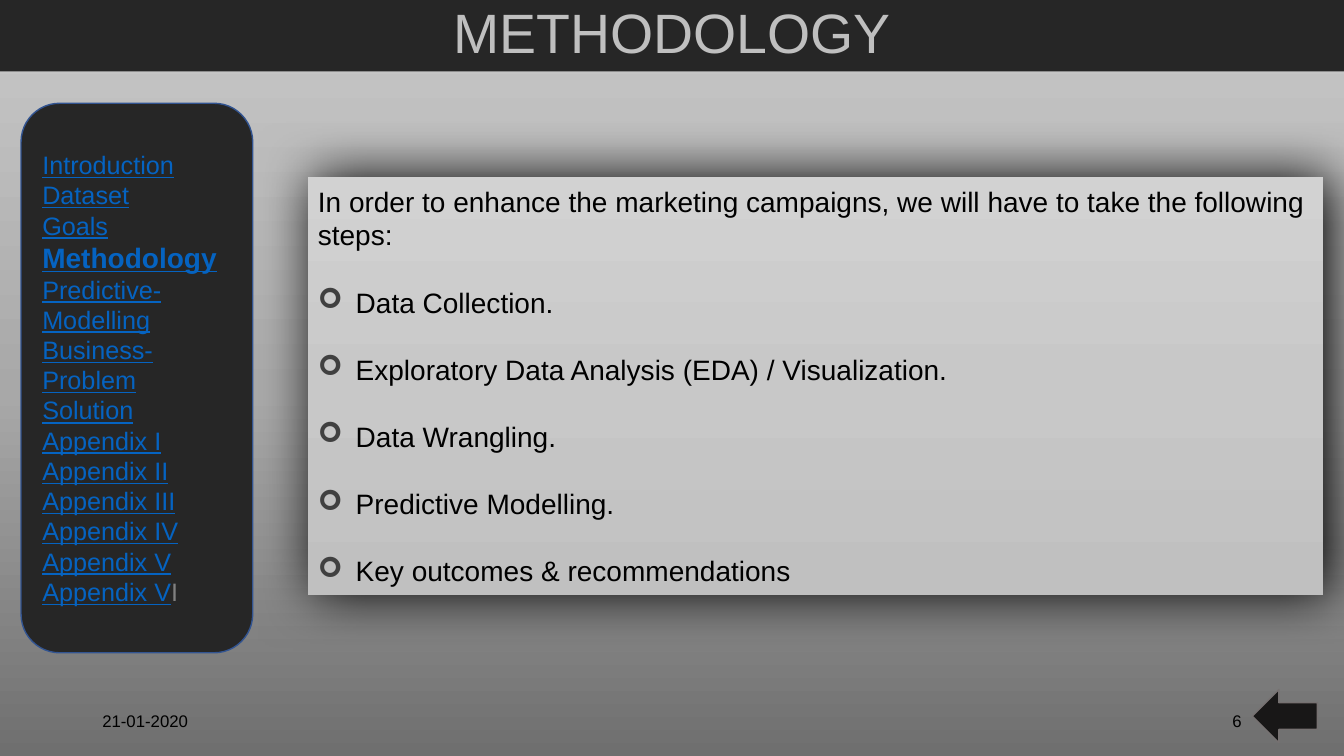
from lxml.etree import SubElement
from pptx import Presentation
from pptx.dml.color import RGBColor
from pptx.enum.shapes import MSO_SHAPE
from pptx.enum.text import MSO_ANCHOR, PP_ALIGN
from pptx.oxml.ns import qn
from pptx.util import Pt

BLACK = RGBColor(0x00, 0x00, 0x00)
CHARCOAL = RGBColor(0x26, 0x26, 0x26)
ARROW_FILL = RGBColor(0x18, 0x17, 0x17)
ARROW_LINE = RGBColor(0x76, 0x71, 0x71)
MENU_LINE = RGBColor(0x32, 0x54, 0x91)
LINK_BLUE = RGBColor(0x05, 0x63, 0xC1)
GREY = RGBColor(0x80, 0x80, 0x80)
TITLE_GREY = RGBColor(0xBF, 0xBF, 0xBF)
BULLET_GREY = RGBColor(0x40, 0x40, 0x40)
PAGE_STOPS = [(0, RGBColor(0x6F, 0x6F, 0x6F)), (48, RGBColor(0xA8, 0xA8, 0xA8)),
              (100, RGBColor(0xC9, 0xC9, 0xC9))]
PANEL_STOPS = [(0, RGBColor(0xD2, 0xD2, 0xD2)), (50, RGBColor(0xC8, 0xC8, 0xC8)),
               (100, RGBColor(0xC0, 0xC0, 0xC0))]


def fill_gradient(fill, holder, stops, angle):
    fill.gradient()
    fill.gradient_angle = angle
    stop_list = next(holder.iter(qn("a:gsLst")))
    for stop in list(stop_list):
        stop_list.remove(stop)
    for percent, color in stops:
        stop = SubElement(stop_list, qn("a:gs"), pos=str(percent * 1000))
        SubElement(stop, qn("a:srgbClr"), val=str(color))


def add_span(para, text, size, color, bold=False, underline=False):
    span = para.add_run()
    span.text = text
    span.font.name = "Arial"
    span.font.size = Pt(size)
    span.font.color.rgb = color
    span.font.bold = bold
    span.font.underline = underline


deck = Presentation()
deck.slide_width, deck.slide_height = Pt(960), Pt(540)
page = deck.slides.add_slide(deck.slide_layouts[6])
fill_gradient(page.background.fill, page.background._cSld, PAGE_STOPS, 90)

# Title bar
title = page.shapes.add_shape(MSO_SHAPE.RECTANGLE, 0, 0, Pt(960), Pt(51))
title.shadow.inherit = False
title.fill.solid()
title.fill.fore_color.rgb = CHARCOAL
title.line.fill.background()
title.text_frame.vertical_anchor = MSO_ANCHOR.MIDDLE
para = title.text_frame.paragraphs[0]
para.alignment = PP_ALIGN.CENTER
para.line_spacing = 0.9
add_span(para, "METHODOLOGY", 39.6, TITLE_GREY)

# Date and page number
for text, left, alignment in [("21-01-2020", 66, PP_ALIGN.LEFT), ("6", 678, PP_ALIGN.RIGHT)]:
    box = page.shapes.add_textbox(Pt(left), Pt(500.5), Pt(216), Pt(28.75))
    box.text_frame.word_wrap = True
    box.text_frame.vertical_anchor = MSO_ANCHOR.MIDDLE
    para = box.text_frame.paragraphs[0]
    para.alignment = alignment
    add_span(para, text, 12, BLACK)

# Steps panel with a soft dark glow
panel = page.shapes.add_shape(MSO_SHAPE.RECTANGLE, Pt(220), Pt(126.5), Pt(725), Pt(298.25))
panel.shadow.inherit = False
fill_gradient(panel.fill, panel._element.spPr, PANEL_STOPS, 270)
panel.line.fill.background()
effects = panel._element.spPr.find(qn("a:effectLst"))
shadow = SubElement(effects, qn("a:outerShdw"), blurRad=str(Pt(40)), dist=str(Pt(5)),
                    dir="0", algn="ctr", rotWithShape="0")
SubElement(shadow, qn("a:srgbClr"), val=str(BLACK))

frame = panel.text_frame
frame.word_wrap = True
frame.vertical_anchor = MSO_ANCHOR.MIDDLE
para = frame.paragraphs[0]
para.alignment = PP_ALIGN.LEFT
add_span(para, "In order to enhance the marketing campaigns, we will have to take "
               "the following steps:", 20, BLACK)
for step in ["Data Collection.", "Exploratory Data Analysis (EDA) / Visualization.",
             "Data Wrangling.", "Predictive Modelling.", "Key outcomes & recommendations"]:
    para = frame.add_paragraph()
    para.alignment = PP_ALIGN.LEFT
    para.space_before = Pt(24)
    properties = para._p.get_or_add_pPr()
    properties.set("marL", str(Pt(27)))
    properties.set("indent", str(-Pt(27)))
    bullet_color = SubElement(properties, qn("a:buClr"))
    SubElement(bullet_color, qn("a:srgbClr"), val=str(BULLET_GREY))
    SubElement(properties, qn("a:buFont"), typeface="Wingdings")
    SubElement(properties, qn("a:buChar"), char="➢")
    add_span(para, step, 20, BLACK)

# Navigation menu: the shape is turned a quarter, its text turned back
menu = page.shapes.add_shape(MSO_SHAPE.FLOWCHART_ALTERNATE_PROCESS,
                             Pt(-98.5), Pt(187.25), Pt(392.5), Pt(165.5))
menu.rotation = 90
menu.shadow.inherit = False
menu.fill.solid()
menu.fill.fore_color.rgb = CHARCOAL
menu.line.color.rgb = MENU_LINE
menu.line.width = Pt(1)
frame = menu.text_frame
frame.word_wrap = True
frame.vertical_anchor = MSO_ANCHOR.MIDDLE
frame._txBody.bodyPr.set("vert", "vert270")
entries = ["Introduction", "Dataset", "Goals", "Methodology", "Predictive-Modelling",
           "Business-Problem", "Solution", "Appendix I", "Appendix II", "Appendix III",
           "Appendix IV", "Appendix V", "Appendix V"]
for number, entry in enumerate(entries):
    para = frame.add_paragraph() if number else frame.paragraphs[0]
    para.alignment = PP_ALIGN.LEFT
    current = entry == "Methodology"
    add_span(para, entry, 20 if current else 18, LINK_BLUE, current, True)
add_span(para, "I", 18, GREY)

# Back arrow
arrow = page.shapes.add_shape(MSO_SHAPE.LEFT_ARROW, Pt(894.5), Pt(492.5), Pt(46.5), Pt(38))
arrow.shadow.inherit = False
arrow.fill.solid()
arrow.fill.fore_color.rgb = ARROW_FILL
arrow.line.color.rgb = ARROW_LINE
arrow.line.width = Pt(1)

deck.save("out.pptx")
